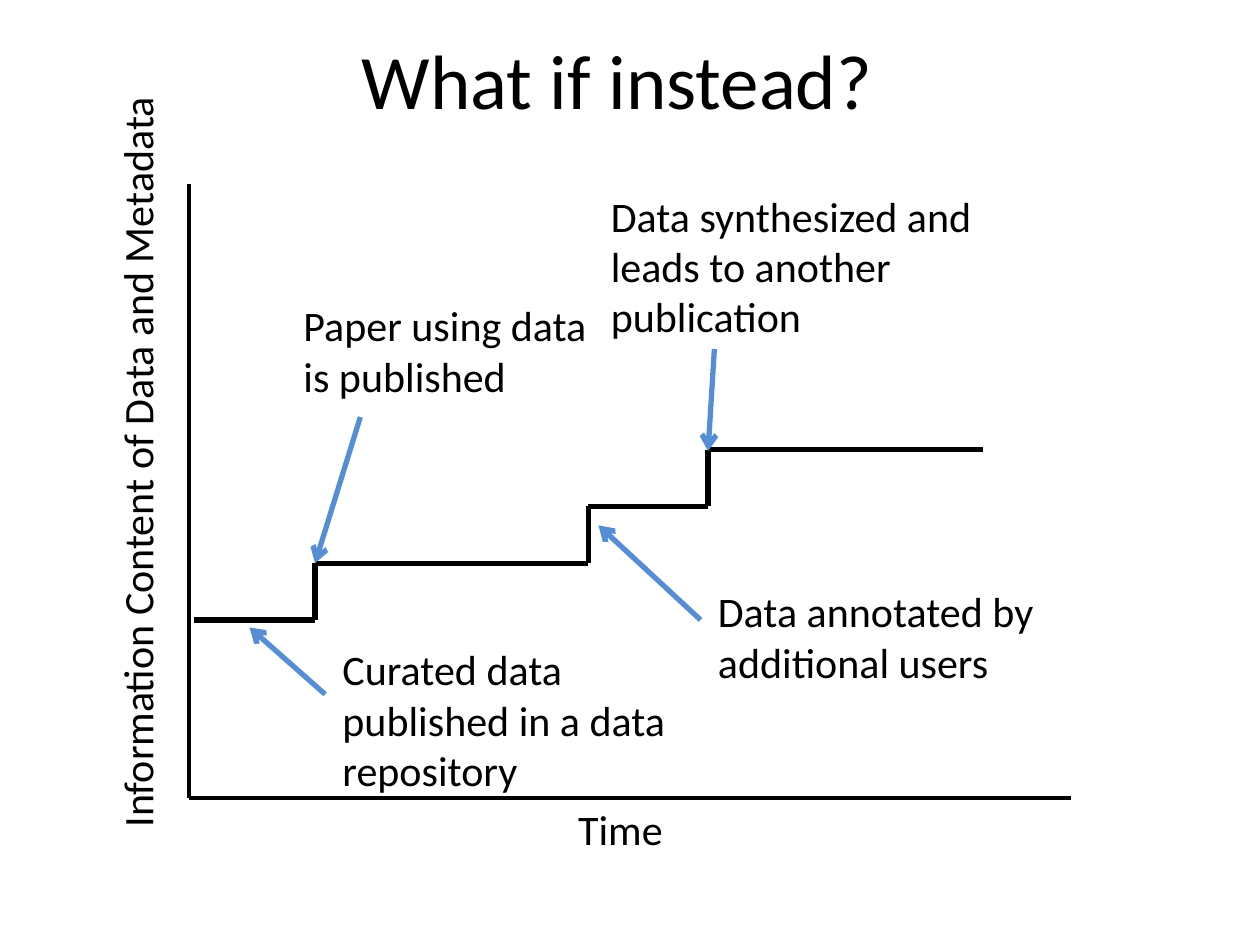
from itertools import pairwise

from lxml import etree
from pptx import Presentation
from pptx.dml.color import RGBColor
from pptx.enum.shapes import MSO_CONNECTOR
from pptx.enum.text import MSO_ANCHOR, PP_ALIGN
from pptx.oxml.ns import qn
from pptx.util import Inches, Pt

STRAIGHT = MSO_CONNECTOR.STRAIGHT
TOP, MIDDLE = MSO_ANCHOR.TOP, MSO_ANCHOR.MIDDLE
LEFT, CENTER = PP_ALIGN.LEFT, PP_ALIGN.CENTER

THEME = {
    "font": "Calibri",
    "ink": RGBColor(0x00, 0x00, 0x00),
    "accent": RGBColor(0x55, 0x8E, 0xD5),
    "title_size": Pt(44),
    "label_size": Pt(24),
    "axis_width": Pt(2.25),
    "step_width": Pt(3),
}

# Content: boxes are left, top, width, height; points are x, y (inches)
TITLE = ("What if instead?", (0.4, 0, 9, 1.25))
AXIS_POINTS = [(1.5, 1.46), (1.5, 6.33), (8.5, 6.33)]
X_LABEL = ("Time", (4.49, 6.33, 1.3, 0.5))
Y_LABEL = ("Information Content of Data and Metadata", (-1.95, 3.38, 6.07, 0.5))

STEP_EDGES = [1.54, 2.5, 4.67, 5.62, 7.8]
FIRST_LEVEL, STEP_RISE = 4.92, 0.45

# Each event: text, box, arrow start, arrow tip
EVENTS = [
    ("Curated data published in a data repository",
     (2.62, 5.06, 2.9, 1.31), (2.58, 5.51), (1.98, 4.98)),
    ("Paper using data is published",
     (2.31, 2.33, 2.48, 0.91), (2.86, 3.31), (2.5, 4.47)),
    ("Data annotated by additional users",
     (5.6, 4.6, 2.9, 0.91), (5.56, 4.92), (4.75, 4.17)),
    ("Data synthesized and leads to another publication",
     (4.75, 1.46, 3.4, 1.31), (5.67, 2.77), (5.62, 3.58)),
]


def add_text(page, text, place, size=THEME["label_size"], align=LEFT,
             anchor=TOP, rotation=0):
    box = page.shapes.add_textbox(*map(Inches, place))
    box.rotation = rotation
    frame = box.text_frame
    frame.word_wrap = True
    frame.vertical_anchor = anchor
    para = frame.paragraphs[0]
    para.alignment = align
    span = para.add_run()
    span.text = text
    span.font.color.rgb = THEME["ink"]
    for name, value in {"name": THEME["font"], "size": size}.items():
        setattr(span.font, name, value)


def add_line(page, start, end, width, color=THEME["ink"], arrow=False):
    line = page.shapes.add_connector(STRAIGHT, *map(Inches, (*start, *end)))
    line.line.width = width
    line.line.color.rgb = color
    if arrow:
        outline = line.line._get_or_add_ln()
        etree.SubElement(outline, qn("a:tailEnd"), type="arrow")
    etree.SubElement(line._element.spPr, qn("a:effectLst"))


def step_points():
    """Corners of a staircase that rises equally at each inner edge."""
    points = []
    for index, (left, right) in enumerate(pairwise(STEP_EDGES)):
        level = FIRST_LEVEL - index * STEP_RISE
        points += [(left, level), (right, level)]
    return points


def main():
    deck = Presentation()
    deck.slide_width, deck.slide_height = Inches(10), Inches(7.5)
    page = deck.slides.add_slide(deck.slide_layouts[6])

    # Title
    add_text(page, *TITLE, size=THEME["title_size"], align=CENTER, anchor=MIDDLE)

    # Axes and staircase
    for points, width in ((AXIS_POINTS, THEME["axis_width"]),
                          (step_points(), THEME["step_width"])):
        for start, end in pairwise(points):
            add_line(page, start, end, width)

    # Axis labels
    add_text(page, *X_LABEL)
    add_text(page, *Y_LABEL, rotation=270)

    # Events with their arrows
    for text, place, start, tip in EVENTS:
        add_text(page, text, place)
        add_line(page, start, tip, THEME["step_width"], THEME["accent"], arrow=True)

    deck.save("out.pptx")


if __name__ == "__main__":
    main()
